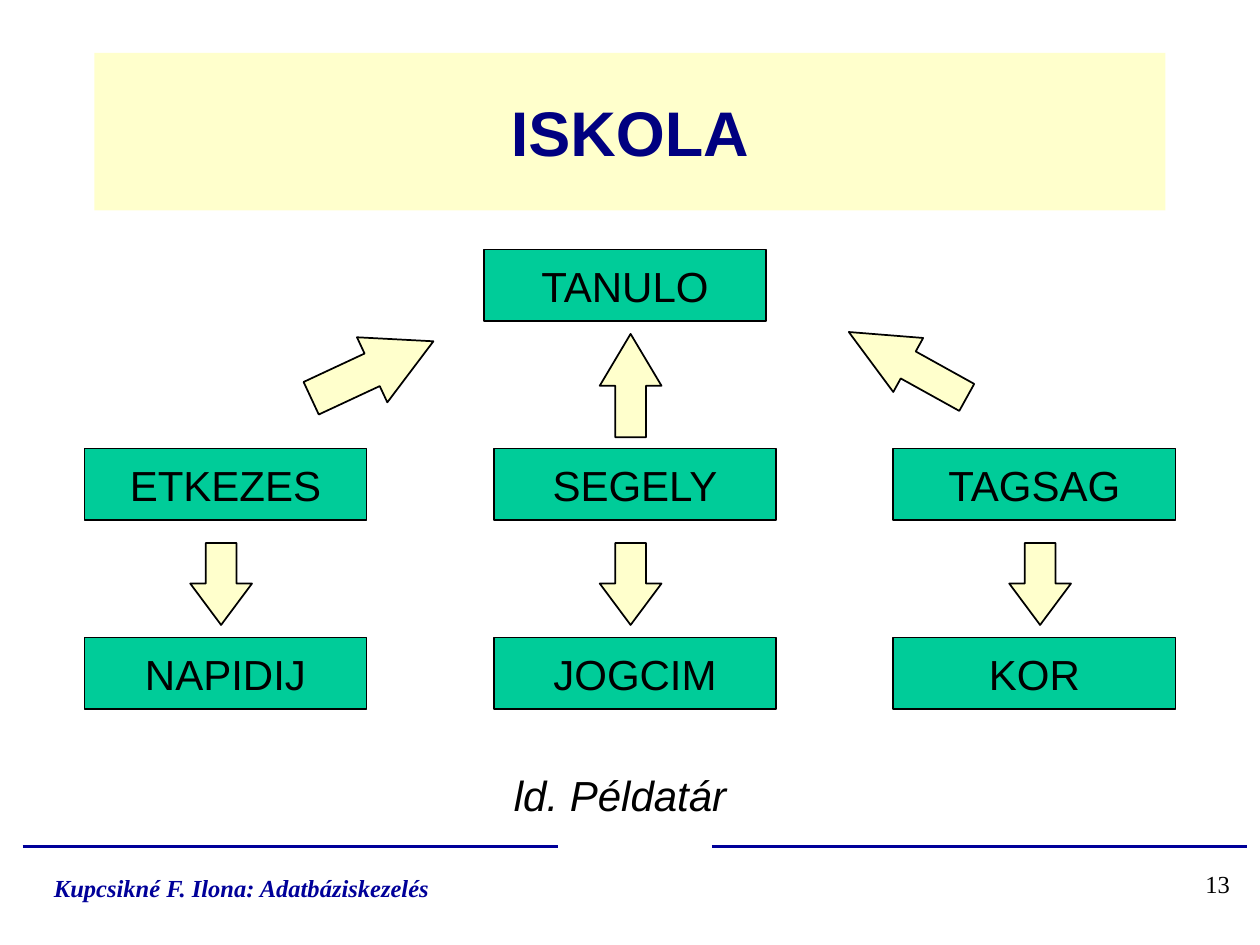
from lxml.etree import SubElement
from pptx import Presentation
from pptx.dml.color import RGBColor
from pptx.enum.shapes import MSO_CONNECTOR, MSO_SHAPE
from pptx.enum.text import MSO_ANCHOR, PP_ALIGN
from pptx.oxml.ns import qn
from pptx.util import Inches, Pt

HUES = {"cream": "FFFFCC", "green": "00CC99", "navy": "000080",
        "blue": "000099", "black": "000000"}
TABLE = {"size": Pt(24), "name": "Arial"}
TITLE = {"size": Pt(36), "name": "Arial", "bold": True}
NOTE = {"size": Pt(24), "name": "Arial", "italic": True}
FOOT = {"size": Pt(14), "name": "Times New Roman", "bold": True, "italic": True}
PAGE = {"size": Pt(14), "name": "Times New Roman"}

COLS = (0.67, 3.92, 7.09)
ROWS = ((3.56, ("ETKEZES", "SEGELY", "TAGSAG")),
        (5.06, ("NAPIDIJ", "JOGCIM", "KOR")))


def hue(name):
    return RGBColor.from_string(HUES[name])


def put_text(shape, text, look, color="black", align=PP_ALIGN.LEFT, wrap=False):
    frame = shape.text_frame
    frame.word_wrap = wrap
    para = frame.paragraphs[0]
    para.alignment = align
    run = para.add_run()
    run.text = text
    for key, value in look.items():
        setattr(run.font, key, value)
    run.font.color.rgb = hue(color)


def add_label(slide, box, text, look, **style):
    label = slide.shapes.add_textbox(*map(Inches, box))
    put_text(label, text, look, **style)


def add_form(slide, kind, box, fill, edge=True):
    """Add a filled preset shape, with a thin black outline if edge is set."""
    form = slide.shapes.add_shape(kind, *map(Inches, box))
    form.shadow.inherit = False
    form.fill.solid()
    form.fill.fore_color.rgb = hue(fill)
    if edge:
        form.line.color.rgb = hue("black")
        form.line.width = Pt(1)
    else:
        form.line.fill.background()
    return form


def add_box(slide, box, text, fill="green", look=TABLE, color="black", edge=True):
    form = add_form(slide, MSO_SHAPE.RECTANGLE, box, fill, edge)
    form.text_frame.vertical_anchor = MSO_ANCHOR.MIDDLE
    put_text(form, text, look, color, PP_ALIGN.CENTER)


def add_arrow(slide, kind, box, head, turn=0):
    arrow = add_form(slide, kind, box, "cream")
    arrow.adjustments[0] = 0.5
    arrow.adjustments[1] = head
    arrow.rotation = turn


def add_rule(slide, left):
    """Draw one of the two footer lines."""
    top = Inches(6.72)
    rule = slide.shapes.add_connector(
        MSO_CONNECTOR.STRAIGHT, Inches(left), top, Inches(left + 4.25), top)
    rule.line.color.rgb = hue("blue")
    rule.line.width = Pt(2)
    SubElement(rule._element.spPr, qn("a:effectLst"))


def main():
    deck = Presentation()
    deck.slide_width, deck.slide_height = Inches(10), Inches(7.5)
    slide = deck.slides.add_slide(deck.slide_layouts[6])

    for left in (0.18, 5.65):
        add_rule(slide, left)
    add_label(slide, (0.33, 6.88, 3.21, 0.34),
              "Kupcsikné F. Ilona: Adatbáziskezelés", FOOT, color="blue")
    add_label(slide, (9.24, 6.85, 0.62, 0.5), "13", PAGE,
              align=PP_ALIGN.RIGHT, wrap=True)

    add_box(slide, (0.75, 0.42, 8.5, 1.25), "ISKOLA", "cream", TITLE, "navy", False)
    add_box(slide, (3.84, 1.98, 2.24, 0.57), "TANULO")
    for top, names in ROWS:
        for left, name in zip(COLS, names):
            add_box(slide, (left, top, 2.24, 0.57), name)

    add_arrow(slide, MSO_SHAPE.RIGHT_ARROW, (2.42, 2.65, 1.07, 0.57), 0.94, 335)
    add_arrow(slide, MSO_SHAPE.UP_ARROW, (4.76, 2.65, 0.49, 0.82), 0.84)
    add_arrow(slide, MSO_SHAPE.LEFT_ARROW, (6.67, 2.65, 1.07, 0.49), 1.1, 29)
    for col in range(3):
        add_arrow(slide, MSO_SHAPE.DOWN_ARROW,
                  (1.51 + 3.25 * col, 4.31, 0.49, 0.65), 0.67)

    add_label(slide, (3.98, 6.06, 1.98, 0.5), "ld. Példatár", NOTE)
    deck.save("out.pptx")


if __name__ == "__main__":
    main()
